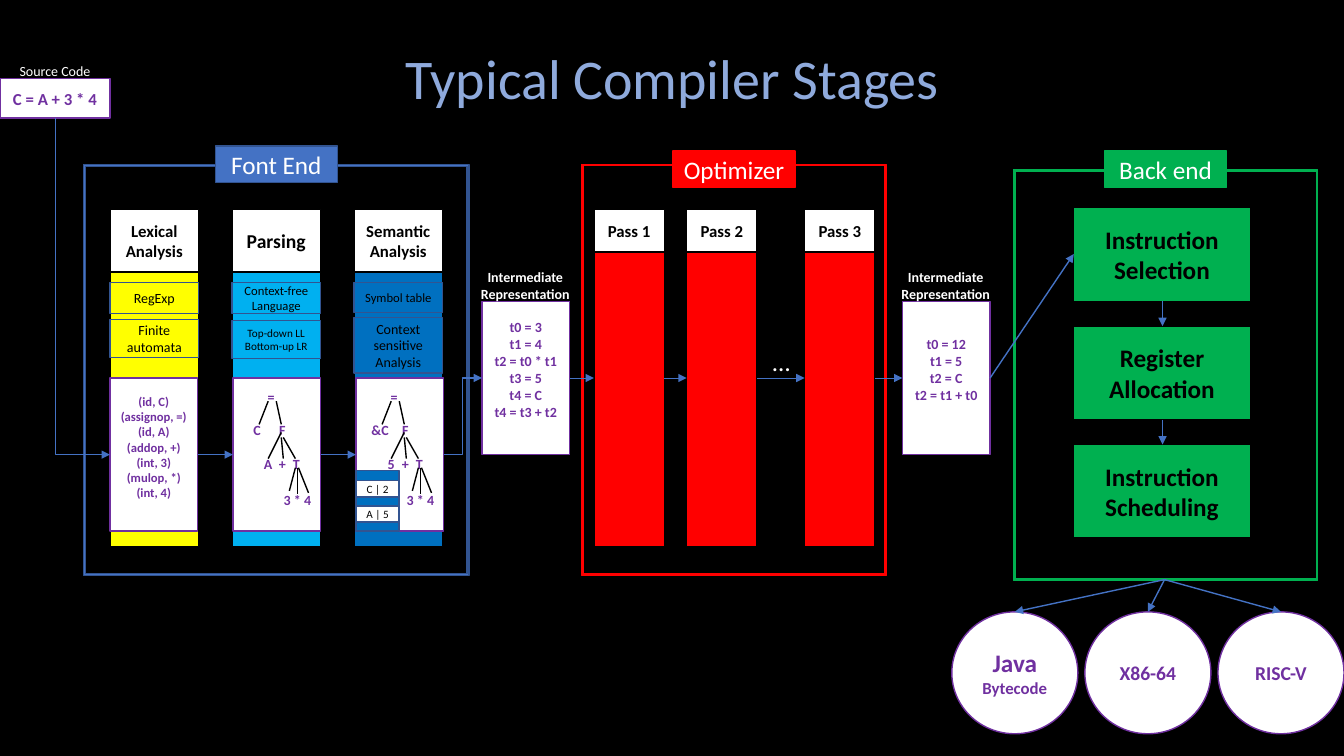
from lxml import etree
from pptx import Presentation
from pptx import util as u
from pptx.dml.color import RGBColor
from pptx.enum import shapes, text
from pptx.oxml import ns

CELL = 0.1
BLACK, WHITE, BLUE, NAVY = "000000", "FFFFFF", "4472C4", "325491"
PLUM, RED, GREEN, DEEP = "7030A0", "FF0000", "00B050", "0070C0"
RECT, OVAL, FRAME = (shapes.MSO_SHAPE.RECTANGLE, shapes.MSO_SHAPE.OVAL,
                     shapes.MSO_SHAPE.FRAME)


def color(code):
    """Turn a hex string into a colour."""
    return RGBColor.from_string(code)


def cells(*nums):
    """Turn grid cells into lengths."""
    return [u.Inches(n * CELL) for n in nums]


def inner(box, x, y, w, h):
    """Place a box relative to the corner of another."""
    return box[0] + x, box[1] + y, w, h


def write(frame, lines, size, ink, bold=False, low=0.0, wrap=True):
    """Fill a text frame with centred lines; a line may be (words, size)."""
    frame.word_wrap = wrap
    frame.vertical_anchor = text.MSO_ANCHOR.MIDDLE
    frame.margin_left = frame.margin_right = u.Inches(0.04)
    frame.margin_top, frame.margin_bottom = 0, cells(low)[0]
    for i, line in enumerate(lines):
        words, points = line if isinstance(line, tuple) else (line, size)
        para = frame.paragraphs[0] if i == 0 else frame.add_paragraph()
        para.alignment = text.PP_ALIGN.CENTER
        run = para.add_run()
        run.text = words
        run.font.name, run.font.size, run.font.bold = "Calibri", u.Pt(points), bold
        run.font.color.rgb = color(ink)


def block(slide, box, fill, edge, lines=(), size=10, ink=BLACK, bold=False,
          kind=RECT, low=0.0):
    """Draw a filled shape with optional centred lines."""
    shape = slide.shapes.add_shape(kind, *cells(*box))
    shape.shadow.inherit = False
    shape.fill.solid()
    shape.fill.fore_color.rgb = color(fill)
    shape.line.color.rgb = color(edge)
    shape.line.width = u.Pt(1)
    if lines:
        write(shape.text_frame, lines, size, ink, bold, low)
    return shape


def label(slide, box, lines, size, ink=WHITE, bold=False):
    """Add a bare text box."""
    note = slide.shapes.add_textbox(*cells(*box))
    write(note.text_frame, lines, size, ink, bold, wrap=False)


def wire(slide, ends, ink=BLUE, width=1, tip=True, bend=None):
    """Draw a line or arrow; bend is the percent at which an elbow turns."""
    kind = shapes.MSO_CONNECTOR.STRAIGHT if bend is None else shapes.MSO_CONNECTOR.ELBOW
    line = slide.shapes.add_connector(kind, *cells(*ends))
    line.line.color.rgb = color(ink)
    line.line.width = u.Pt(width)
    props = line._element.spPr
    if bend is not None:
        guide = etree.SubElement(props.find(".//" + ns.qn("a:avLst")), ns.qn("a:gd"))
        guide.set("name", "adj1")
        guide.set("fmla", f"val {bend * 1000}")
    if tip:
        etree.SubElement(line.line._get_or_add_ln(), ns.qn("a:tailEnd")).set("type", "triangle")
    etree.SubElement(props, ns.qn("a:effectLst"))


def region(slide, box, name, fill, edge, rise):
    """Draw a thin frame with a centred name tag on its top edge."""
    block(slide, box, fill, edge, kind=FRAME).adjustments[0] = 0.005
    tag = inner(box, (box[2] - 12.1) / 2, -rise, 12.1, 3.6)
    block(slide, tag, fill, edge, [name], 18, WHITE)


def tree(slide, box, left, low):
    """Draw a syntax tree with the given left leaves."""
    block(slide, box, WHITE, PLUM)
    nodes = [("=", 3.8, 1.9), (left, 2.4, 5.2), ("F", 4.9, 5.2), (low, 3.5, 8.5),
             ("+", 4.9, 8.5), ("T", 6.3, 8.5), ("3 * 4", 6.4, 12.1)]
    for word, x, y in nodes:
        label(slide, inner(box, x - 2.3, y - 1, 4.6, 2), [word], 10, PLUM, True)
    edges = [(2.6, 4.6, 3.5, 2.3), (4.8, 4.6, 4.3, 2.3), (5, 8, 4.8, 5.9),
             (6.2, 8, 5, 5.9), (3.5, 8, 4.8, 5.4), (6.4, 11.5, 6.4, 8.9),
             (5.6, 11.2, 6.2, 8.9), (7.5, 11.4, 6.5, 8.9)]
    for x1, y1, x2, y2 in edges:
        ends = inner(box, x1, y1, 0, 0)[:2] + inner(box, x2, y2, 0, 0)[:2]
        wire(slide, ends, BLACK, tip=False)


def table(slide, box):
    """Draw the symbol store as two rows on a panel."""
    block(slide, box, DEEP, NAVY)
    for i, row in enumerate(["C | 2", "A | 5"]):
        block(slide, inner(box, 0, 1 + 2.5 * i, box[2], 1.6), WHITE, NAVY, [row], 8)


def front(slide, box):
    """Draw the front end: three stages, their methods and results."""
    stages = [
        (["Lexical", "Analysis"], 12, "FFFF00",
         [(["RegExp"], 10, 7.2, 3.1), (["Finite automata"], 10, 10.9, 3.8)]),
        (["Parsing"], 14, "00B0F0",
         [(["Context-free", "Language"], 9, 7.2, 3.1),
          (["Top-down LL", "Bottom-up LR"], 8, 11, 3.8)]),
        (["Semantic", "Analysis"], 12, DEEP,
         [(["Symbol table"], 9, 7.2, 3),
          (["Context", "sensitive", "Analysis"], 10, 10.7, 5.5)])]
    tokens = ["(id, C)", "(assignop, =)", "(id, A)", "(addop, +)", "(int, 3)",
              "(mulop, *)", "(int, 4)"]
    views = []
    for i, (name, size, fill, chips) in enumerate(stages):
        bar = inner(box, 2.6 + 12.1 * i, 4.5, 8.8, 33.4)
        block(slide, bar, fill, BLACK)
        block(slide, inner(bar, 0, 0, 8.8, 6.2), WHITE, BLACK, name, size, bold=True)
        for lines, points, y, h in chips:
            block(slide, inner(bar, 0, y, 8.8, h), fill, NAVY, lines, points)
        views.append(inner(bar, 0.1 * i, 16.7, 8.7, 15.2))
    block(slide, views[0], WHITE, PLUM, tokens, 9, PLUM, True, low=1.5)
    tree(slide, views[1], "C", "A")
    tree(slide, views[2], "&C", "5")
    table(slide, inner(views[2], 0, 9.2, 4.3, 6))
    for a, b in zip(views, views[1:]):
        wire(slide, (a[0] + a[2], a[1] + 7.6, b[0], b[1] + 7.6))
    region(slide, box, "Font End", BLUE, NAVY, 1.8)


def passes(slide, box):
    """Draw the optimizer: three pass bars joined by arrows."""
    starts = [1.2, 10.4, 22.1]
    for i, x in enumerate(starts):
        bar = inner(box, x, 4.5, 7, 33.4)
        block(slide, bar, RED, BLACK)
        block(slide, inner(bar, 0, 0, 7, 4.2), WHITE, BLACK, [f"Pass {i + 1}"], 12, bold=True)
    y = box[1] + 21.2
    for a, b in zip(starts, starts[1:]):
        wire(slide, (box[0] + a + 7, y, box[0] + b, y), width=0.5)
    label(slide, inner(box, 17.9, 17.6, 3.8, 4), ["…"], 18)
    region(slide, box, "Optimizer", RED, RED, 1.3)


def back(slide, box):
    """Draw the back end: three steps in a falling chain."""
    steps = [("Instruction", "Selection"), ("Register", "Allocation"),
             ("Instruction", "Scheduling")]
    for i, lines in enumerate(steps):
        step = inner(box, 6, 3.8 + 11.75 * i, 17.5, 9.3)
        block(slide, step, GREEN, BLACK, lines, 18, bold=True)
        if i:
            x = step[0] + 8.8
            wire(slide, (x, step[1] - 2.45, x, step[1]))
    region(slide, box, "Back end", GREEN, GREEN, 1.8)


def middle(slide, box, lines):
    """Draw one intermediate code listing with its heading."""
    block(slide, box, WHITE, PLUM, lines, 10, PLUM, True, low=1.7)
    label(slide, inner(box, -1.2, -3.8, 11, 4.4), ["Intermediate", "Representation"], 10,
          bold=True)


def source(slide, box):
    """Draw the source line with its heading."""
    block(slide, box, WHITE, PLUM, ["C = A + 3 * 4"], 12, PLUM, True)
    label(slide, inner(box, 0, -2.1, box[2], 2.6), ["Source Code"], 10)


def goals(slide, box, root):
    """Draw the target circles and the arrows that fan out to them."""
    names = [[("Java", 18), "Bytecode"], [("X86-64", 14)], [("RISC-V", 14)]]
    for i, lines in enumerate(names):
        disc = inner(box, 13.2 * i, 0, 12.5, box[3])
        block(slide, disc, WHITE, PLUM, lines, 12, PLUM, True, OVAL)
        wire(slide, (*root, disc[0] + 6.25, disc[1]))


def build():
    """Build and save the deck."""
    deck = Presentation()
    deck.slide_width, deck.slide_height = u.Inches(13.33), u.Inches(7.5)
    slide = deck.slides.add_slide(deck.slide_layouts[5])
    slide.background.fill.solid()
    slide.background.fill.fore_color.rgb = color(BLACK)
    title = slide.shapes.title
    title.left, title.top, title.width, title.height = cells(20.5, 3.8, 92.4, 7.7)
    write(title.text_frame, ["Typical Compiler Stages"], 40, "8FAADC")
    source(slide, (0, 7.8, 10.9, 3.9))
    front(slide, (8.3, 16.3, 38.2, 40.8))
    middle(slide, (47.8, 29.9, 8.7, 15.2),
           ["t0 = 3", "t1 = 4", "t2 = t0 * t1", "t3 = 5", "t4 = C", "t4 = t3 + t2"])
    passes(slide, (57.7, 16.3, 30.2, 40.8))
    middle(slide, (89.5, 29.9, 8.7, 15.2), ["t0 = 12", "t1 = 5", "t2 = C", "t2 = t1 + t0"])
    back(slide, (100.5, 16.8, 30.2, 40.8))
    goals(slide, (94.4, 60.7, 38.9, 12.1), (115.5, 57.5))
    wire(slide, (5.5, 11.7, 10.9, 45.1), bend=0)
    wire(slide, (44, 45.1, 47.8, 37.5), bend=50)
    wire(slide, (56.5, 37.5, 58.9, 37.5), width=0.5)
    wire(slide, (86.8, 37.5, 89.5, 37.5), width=0.5)
    wire(slide, (98.2, 37.5, 106.5, 25.2))
    deck.save("out.pptx")


build()
